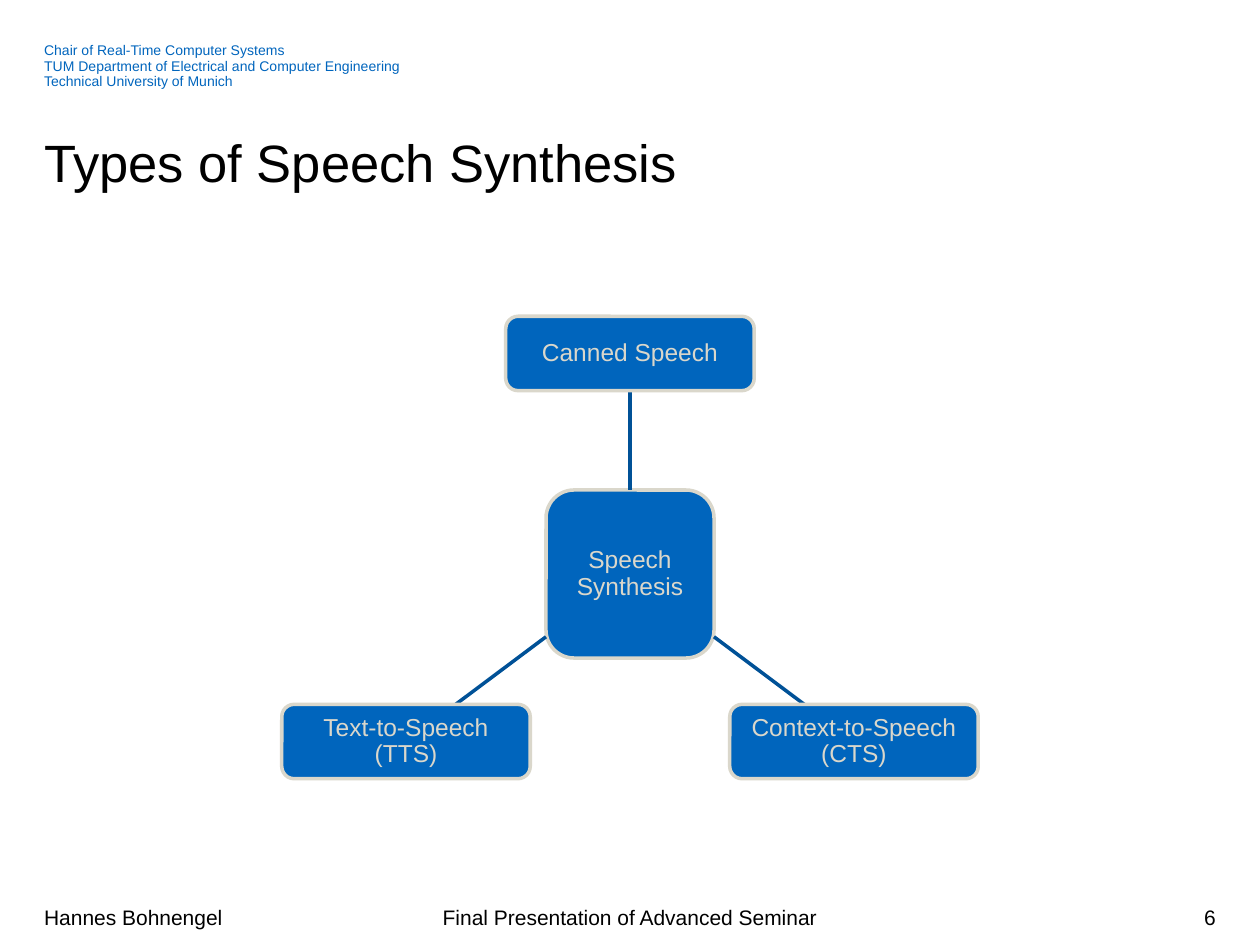
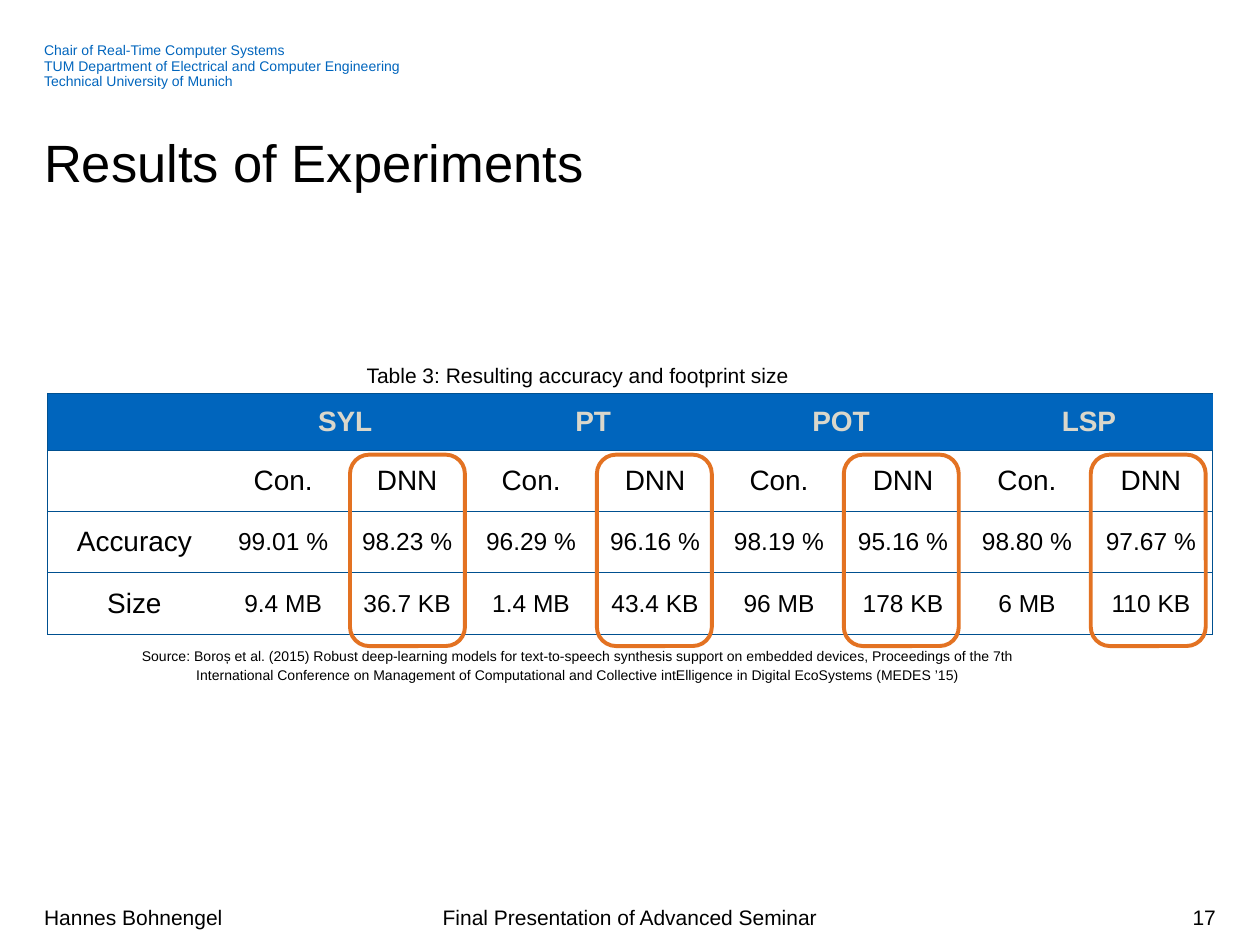
from pptx import Presentation
from pptx.dml.color import RGBColor
from pptx.enum import shapes as es, text as et
from pptx.oxml import ns, xmlchemy as xc
from pptx.util import Pt

# Colours and type
BLUE = RGBColor(0x00, 0x65, 0xBD)
NAVY = RGBColor(0x00, 0x51, 0x97)
RULE = RGBColor(0x00, 0x50, 0x90)
SAND = RGBColor(0xDA, 0xD7, 0xCB)
ORANGE = RGBColor(0xE3, 0x72, 0x22)
BLACK = RGBColor(0, 0, 0)
FONT = "Arial"
LEFT, MID, RIGHT = et.PP_ALIGN.LEFT, et.PP_ALIGN.CENTER, et.PP_ALIGN.RIGHT
TOP, CENTRE = et.MSO_ANCHOR.TOP, et.MSO_ANCHOR.MIDDLE

# Shared content
CHAIR = """Chair of Real-Time Computer Systems
TUM Department of Electrical and Computer Engineering
Technical University of Munich"""
AUTHOR = "Hannes Bohnengel"
EVENT = "Final Presentation of Advanced Seminar"

# Diagram: text, centre x, centre y, width, height
HUB = ("Speech Synthesis", 360, 328, 96, 96)
LEAVES = [
    ("Canned Speech", 360, 202, 142, 42.5),
    ("Context-to-Speech\v(CTS)", 488, 423.75, 142, 42.5),
    ("Text-to-Speech\v(TTS)", 232, 423.75, 142, 42.5),
]

# Results table
CAPTION = "Table 3: Resulting accuracy and footprint size"
GROUPS = ["SYL", "PT", "POT", "LSP"]
ROWS = [
    [""] + ["Con.", "DNN"] * len(GROUPS),
    ["Accuracy", "99.01 %", "98.23 %", "96.29 %", "96.16 %",
     "98.19 %", "95.16 %", "98.80 %", "97.67 %"],
    ["Size", "9.4 MB", "36.7 KB", "1.4 MB", "43.4 KB",
     "96 MB", "178 KB", "6 MB", "110 KB"],
]
SOURCE = """Source: Boroș et al. (2015) Robust deep-learning models for \
text-to-speech synthesis support on embedded devices, Proceedings of the 7th
International Conference on Management of Computational and Collective \
intElligence in Digital EcoSystems (MEDES ’15)"""


def style(frame, size, color, align=LEFT, space=None, bold=False):
    for para in frame.paragraphs:
        para.alignment = align
        if space:
            para.line_spacing = space
        for run in para.runs:
            font = run.font
            font.name, font.size, font.bold = FONT, Pt(size), bold
            font.color.rgb = color


def inset(frame, side, edge):
    frame.margin_left = frame.margin_right = Pt(side)
    frame.margin_top = frame.margin_bottom = Pt(edge)


def place(shape, box):
    shape.left, shape.top, shape.width, shape.height = map(Pt, box)


def label(slide, words, box, size, color=BLACK, align=LEFT, space=None,
          anchor=TOP, wrap=True):
    frame = slide.shapes.add_textbox(*map(Pt, box)).text_frame
    frame.text = words
    frame.word_wrap, frame.vertical_anchor = wrap, anchor
    inset(frame, 0, 0)
    style(frame, size, color, align, space)


def round_box(slide, box, line, width, fill=None):
    shape = slide.shapes.add_shape(
        es.MSO_SHAPE.ROUNDED_RECTANGLE, *map(Pt, box))
    shape.shadow.inherit = False
    shape.line.color.rgb, shape.line.width = line, Pt(width)
    if fill is None:
        shape.fill.background()
    else:
        shape.fill.solid()
        shape.fill.fore_color.rgb = fill
    return shape


def new_slide(deck, title, number):
    slide = deck.slides.add_slide(deck.slide_layouts[5])
    # Header and footer
    label(slide, CHAIR, (25.2, 24.5, 606, 27.5), 8, BLUE, space=0.94)
    for words, x, w, align in [(EVENT, 240, 240, MID),
                               (AUTHOR, 25.2, 114.5, LEFT),
                               (str(number), 533.5, 161.3, RIGHT)]:
        label(slide, words, (x, 509.8, w, 28.8), 12, align=align,
              anchor=CENTRE)
    # Title
    head = slide.shapes.title
    place(head, (25.2, 78.5, 670.3, 32.4))
    frame = head.text_frame
    frame.text = title
    frame.vertical_anchor, frame.auto_size = TOP, et.MSO_AUTO_SIZE.NONE
    inset(frame, 0, 0)
    style(frame, 30, BLACK, space=Pt(32))
    return slide


def node(slide, words, x, y, w, h):
    shape = round_box(slide, (x - w / 2, y - h / 2, w, h), SAND, 2, BLUE)
    frame = shape.text_frame
    frame.text = words
    frame.word_wrap, frame.vertical_anchor = True, CENTRE
    inset(frame, 5, 3)
    style(frame, 14, SAND, MID, 0.9)


def rim(start, goal):
    """Point where the line between two box centres leaves the first box."""
    _, x, y, w, h = start
    dx, dy = goal[1] - x, goal[2] - y
    part = min(size / 2 / abs(gap) for size, gap in ((w, dx), (h, dy)) if gap)
    return Pt(x + dx * part), Pt(y + dy * part)


def spoke(slide, leaf):
    line = slide.shapes.add_connector(
        es.MSO_CONNECTOR.STRAIGHT, *rim(HUB, leaf), *rim(leaf, HUB))
    line.line.color.rgb, line.line.width = NAVY, Pt(2)
    line._element.spPr.append(xc.OxmlElement("a:effectLst"))


def borders(cell, shown):
    props = cell._tc.get_or_add_tcPr()
    for spot, side in enumerate("LRTB"):
        line = xc.OxmlElement(f"a:ln{side}")
        line.set("w", str(Pt(0.75)))
        if side in shown:
            fill = xc.OxmlElement("a:solidFill")
            color = xc.OxmlElement("a:srgbClr")
            color.set("val", str(RULE))
            fill.append(color)
        else:
            fill = xc.OxmlElement("a:noFill")
        line.append(fill)
        props.insert(spot, line)


def results(slide):
    cols = len(ROWS[0])
    grid = slide.shapes.add_table(
        len(ROWS) + 1, cols, Pt(27.2), Pt(224.8), Pt(666), Pt(137.7)).table
    for i, col in enumerate(grid.columns):
        col.width = Pt(70.85 if i else 99.2)
    for i, row in enumerate(grid.rows):
        row.height = Pt(35.1 if i else 32.4)
    top = [""] + [word for name in GROUPS for word in (name, "")]
    for r, row in enumerate([top] + ROWS):
        for c, words in enumerate(row):
            cell = grid.cell(r, c)
            cell.text, cell.vertical_anchor = words, CENTRE
            size = 14 if r > 1 and c else 16
            style(cell.text_frame, size, BLACK if r else SAND, MID,
                  bold=r == 0)
            if r:
                cell.fill.background()
            else:
                cell.fill.solid()
                cell.fill.fore_color.rgb = BLUE
            ends = {0: "L", cols - 1: "R"}
            borders(cell, "TB" + ends.get(c, ""))
    for c in range(1, cols, 2):
        grid.cell(0, c).merge(grid.cell(0, c + 1))


def main():
    deck = Presentation()
    deck.slide_width, deck.slide_height = Pt(720), Pt(540)

    # Types of synthesis
    slide = new_slide(deck, "Types of Speech Synthesis", 6)
    node(slide, *HUB)
    for leaf in LEAVES:
        spoke(slide, leaf)
        node(slide, *leaf)

    # Results with the DNN columns ringed
    slide = new_slide(deck, "Results of Experiments", 17)
    label(slide, CAPTION, (208.5, 205.2, 243.4, 16.6), 12, align=MID,
          space=1.14, wrap=False)
    label(slide, SOURCE, (69.8, 368.6, 521.3, 20.9), 8, align=MID, space=1.14)
    results(slide)
    for i in range(len(GROUPS)):
        round_box(slide, (200 + 141.1 * i, 259.8, 65.7, 109.4), ORANGE, 2.25)

    deck.save("out.pptx")


if __name__ == "__main__":
    main()
